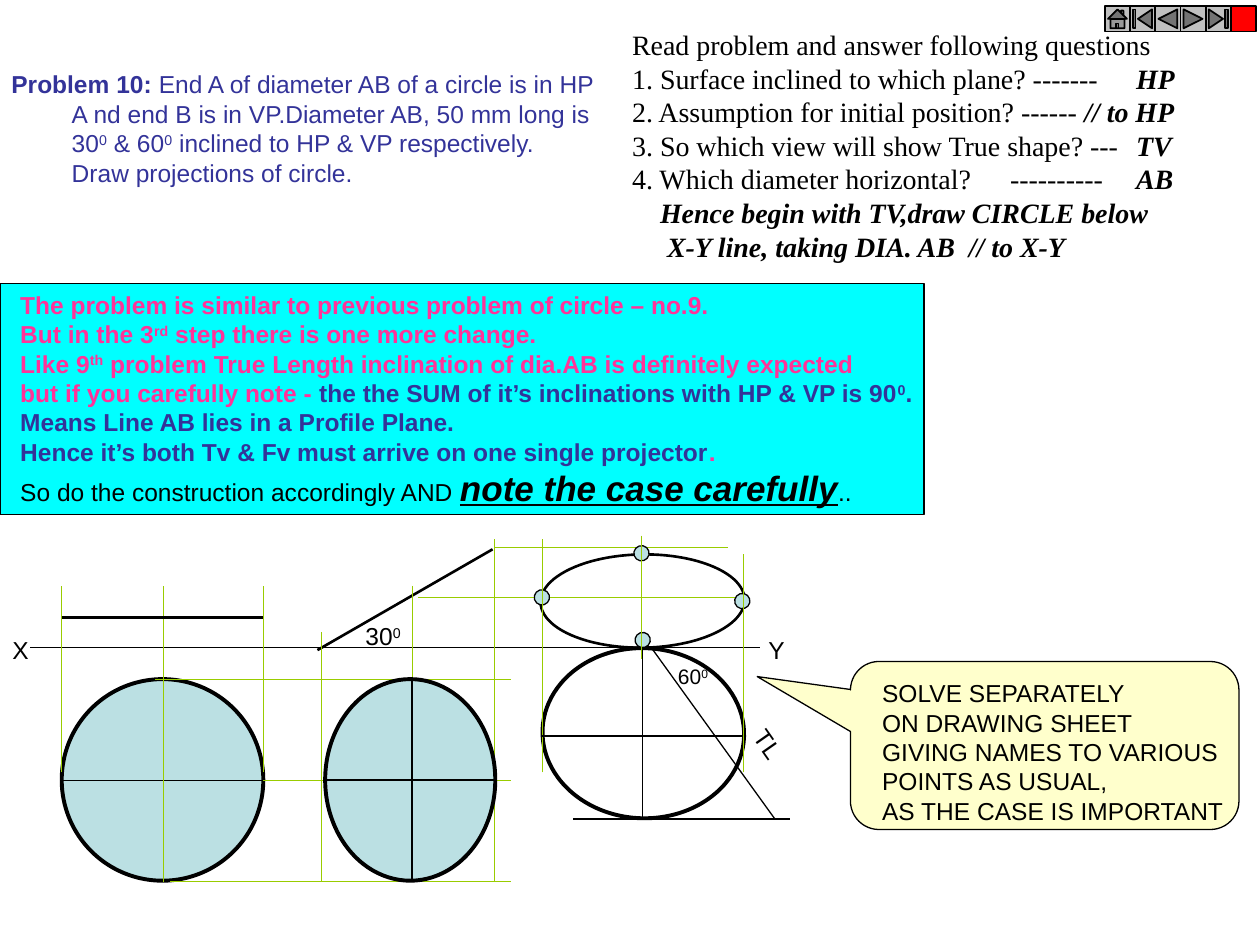
from pptx import Presentation
from pptx.dml.color import RGBColor
from pptx.enum.shapes import MSO_CONNECTOR, MSO_SHAPE
from pptx.enum.text import MSO_ANCHOR, MSO_AUTO_SIZE, PP_ALIGN
from pptx.oxml.ns import qn
from pptx.util import Pt
from lxml.etree import SubElement

HUES = {
    "ink": "000000", "navy": "333399", "pink": "FF3399", "cyan": "00FFFF",
    "cream": "FFFFCC", "disk": "BBE0E3", "green": "99CC00",
    "white": "FFFFFF", "gray": "C0C0C0", "red": "FF0000",
}
UP = {"up": True}
BOLD = {"bold": True}
KEY = {"bold": True, "italic": True}
NAVY = {"hue": "navy"}


def tint(name):
    return RGBColor.from_string(HUES[name])


def style(run, size=14, hue="ink", face="Arial", bold=False, italic=False,
          under=False, up=False):
    font = run.font
    font.size, font.name = Pt(size), face
    font.bold, font.italic, font.underline = bold, italic, under
    font.color.rgb = tint(hue)
    if up:
        run._r.get_or_add_rPr().set("baseline", "30000")


def write(frame, rows, wrap=False, align=PP_ALIGN.LEFT, dents=None,
          stops=None, **form):
    frame.word_wrap = wrap
    frame.auto_size = MSO_AUTO_SIZE.NONE
    frame.vertical_anchor = MSO_ANCHOR.TOP
    for i, row in enumerate(rows):
        para = frame.paragraphs[0] if i == 0 else frame.add_paragraph()
        para.alignment = align
        para.space_before = Pt(0)
        props = para._p.get_or_add_pPr()
        props.set("marL", str(Pt((dents or {}).get(i, 0))))
        props.set("indent", "0")
        SubElement(props, qn("a:buNone"))
        if stops and i in stops:
            tabs = SubElement(props, qn("a:tabLst"))
            for stop in stops[i]:
                SubElement(tabs, qn("a:tab"), pos=str(Pt(stop)), algn="l")
        for part in [row] if isinstance(row, str) else row:
            words, extra = (part, {}) if isinstance(part, str) else part
            run = para.add_run()
            run.text = words
            style(run, **{**form, **extra})


def place(item, x, y, w, h):
    item.left, item.top, item.width, item.height = Pt(x), Pt(y), Pt(w), Pt(h)


def label(pen, x, y, w, h, rows, turn=0, **form):
    item = pen.add_textbox(Pt(x), Pt(y), Pt(w), Pt(h))
    item.rotation = turn
    write(item.text_frame, rows, **form)


def shape(pen, kind, x, y, w, h, fill, line=0.75, turn=0):
    item = pen.add_shape(kind, Pt(x), Pt(y), Pt(w), Pt(h))
    item.shadow.inherit = False
    item.fill.solid()
    item.fill.fore_color.rgb = tint(fill)
    item.line.color.rgb = tint("ink")
    item.line.width = Pt(line)
    item.rotation = turn
    return item


def lines(pen, x, y, hue, width, ends):
    for x1, y1, x2, y2 in ends:
        item = pen.add_connector(MSO_CONNECTOR.STRAIGHT, Pt(x + x1),
                                 Pt(y + y1), Pt(x + x2), Pt(y + y2))
        item.line.color.rgb = tint(hue)
        item.line.width = Pt(width)
        SubElement(item._element.spPr, qn("a:effectLst"))


def problem(item, x, y, w, h):
    place(item, x, y, w, h)
    write(item.text_frame, [
        [("Problem 10: ", BOLD), "End A of diameter AB of a circle is in HP"],
        "A nd end B is in VP.Diameter AB, 50 mm long is",
        ["30", ("0", UP), " & 60", ("0", UP),
         " inclined to HP & VP respectively."],
        "Draw projections of circle.",
    ], dents={1: 34.5, 2: 34.5, 3: 34.5}, hue="navy")


def quiz(item, x, y, w, h):
    place(item, x, y, w, h)
    write(item.text_frame, [
        "Read problem and answer following questions",
        ["1. Surface inclined to which plane? -------\t", ("HP", KEY)],
        ["2. Assumption for initial position? ------ ", ("// to HP", KEY)],
        ["3. So which view will show True shape? ---\t", ("TV", KEY)],
        ["4. Which diameter horizontal?\t----------\t", ("AB", KEY)],
        [("Hence begin with TV,draw CIRCLE below", KEY)],
        [("X-Y line, taking DIA. AB  // to X-Y", KEY)],
    ], wrap=True, dents={5: 16, 6: 20},
        stops={1: [290], 3: [290], 4: [206, 287]},
        size=16, face="Times New Roman")


def note(pen, x, y, w, h):
    shape(pen, MSO_SHAPE.RECTANGLE, x, y, w, h, "cyan")
    last = {"hue": "ink", "bold": False}
    label(pen, x + 4.5, y, w + 1, h, [
        "The problem is similar to previous problem of circle – no.9.",
        ["But in the 3", ("rd", UP), " step there is one more change."],
        ["Like 9", ("th", UP),
         " problem True Length inclination of dia.AB is definitely expected"],
        ["but if you carefully note - ",
         ("the the SUM of it’s inclinations with HP & VP is 90", NAVY),
         ("0", {**NAVY, **UP}), (".", NAVY)],
        [("Means Line AB lies in a Profile Plane.", NAVY)],
        [("Hence it’s both Tv & Fv must arrive on one single projector",
          NAVY), "."],
        [("So do the construction accordingly AND ", last),
         ("note the case carefully",
          {"hue": "ink", "size": 20, "italic": True, "under": True}),
         ("..", last)],
    ], hue="pink", bold=True)


def callout(pen, x, y, w, h):
    item = shape(pen, MSO_SHAPE.ROUNDED_RECTANGULAR_CALLOUT,
                 x, y, w, h, "cream")
    for i, value in enumerate((-0.74, -0.41, 0.17)):
        item.adjustments[i] = value
    label(pen, x + 11, y + 6, w - 7, h - 5, [
        "SOLVE SEPARATELY", "ON DRAWING SHEET", "GIVING NAMES TO VARIOUS",
        "POINTS AS USUAL,", "AS THE CASE IS IMPORTANT"])


def figure(pen, x, y):
    oval = MSO_SHAPE.OVAL
    size, wide = 115.2, 97.2
    axis, top, base = 64.1, 82.1, 162
    mid, low = top + size / 2, top + size
    left, heart, right = 35.3, 93.6, 150.5
    lean, core, edge = 185.8, 235.4, 282.2
    west, east, hub = 309.6, 424.8, 367.2

    shape(pen, oval, x + 308.9, y + 10.8, 116.6, 53.3, "white", 1.5, 359.2)
    shape(pen, oval, x + left, y + top, size, size, "disk", 2.25)
    lines(pen, x, y, "ink", 0.5, [(left, mid, right, mid)])
    lines(pen, x, y, "ink", 0.75, [(17.3, axis, 434.2, axis)])
    lines(pen, x, y, "green", 0.5, [
        (heart, top, heart, low + 0.7), (left, 135.4, left, 28.8),
        (right, 135.4, right, 28.8), (heart, top, heart, 28.8)])
    lines(pen, x, y, "ink", 1.5, [
        (left, 46.8, right, 46.8), (181.4, 65.5, 281.5, 7.9)])
    lines(pen, x, y, "green", 0.25, [
        (edge, 2.2, edge, low), (core, 28.8, core, low),
        (183.6, 55.4, 183.6, low), (88.6, top, 292.3, top),
        (right, mid, 292.3, mid), (97.2, low, 292.3, low)])

    shape(pen, oval, x + lean, y + top, wide, size, "disk", 2.25)
    lines(pen, x, y, "ink", 0.75, [(core, top, core, low)])
    shape(pen, oval, x + 319, y + 55.4, wide, size, "white", 2.25, 272.1)
    lines(pen, x, y, "green", 0.25, [
        (283, 6.5, 416.2, 6.5), (239, 35.3, east, 35.3)])
    for across, down in ((305.3, 31), (362.9, 55.4), (419.8, 33.1),
                         (362.2, 5.8)):
        shape(pen, oval, x + across, y + down, 8.7, 8.7, "disk", turn=12.2)
    lines(pen, x, y, "green", 0.25, [
        (west, 135.4, west, 2.2), (east, 135.4, east, 10.8)])
    lines(pen, x, y, "ink", 0.75, [
        (lean, mid, lean + wide, mid), (west, 114.5, east, 114.5),
        (hub, axis, hub, base), (372.2, axis, 442.8, base),
        (451.4, base, 327.6, base)])
    lines(pen, x, y, "green", 0.75, [(366.5, 0, 366.5, 70.6)])

    label(pen, x + 423.4, y + 107.3, 31, 24.5, ["TL"], turn=55)
    label(pen, x, y + 53.3, 23.8, 24.5, ["X"])
    label(pen, x + 432, y + 53.3, 23.8, 24.5, ["Y"])
    label(pen, x + 201.6, y + 45.4, 34.6, 24.5, [["30", ("0", UP)]],
          align=PP_ALIGN.CENTER)
    label(pen, x + 380.2, y + 69.8, 31.7, 21.6, [["60", ("0", UP)]],
          align=PP_ALIGN.CENTER, size=12)


def controls(pen, x, y, side):
    kinds = (MSO_SHAPE.ACTION_BUTTON_HOME, MSO_SHAPE.ACTION_BUTTON_BEGINNING,
             MSO_SHAPE.ACTION_BUTTON_BACK_OR_PREVIOUS,
             MSO_SHAPE.ACTION_BUTTON_FORWARD_OR_NEXT,
             MSO_SHAPE.ACTION_BUTTON_END, MSO_SHAPE.ACTION_BUTTON_CUSTOM)
    for i, kind in enumerate(kinds):
        fill = "red" if kind == MSO_SHAPE.ACTION_BUTTON_CUSTOM else "gray"
        shape(pen, kind, x + i * side, y, side, side, fill, 1)


def main():
    deck = Presentation()
    deck.slide_width, deck.slide_height = Pt(720), Pt(540)
    slide = deck.slides.add_slide(deck.slide_layouts[1])
    pen = slide.shapes
    problem(pen.title, -0.7, 36, 352.8, 75)
    quiz(slide.placeholders[1], 354, 12.2, 342, 142)
    note(pen.add_group_shape().shapes, 0, 162, 528, 132)
    callout(pen.add_group_shape().shapes, 486, 378, 222, 96)
    figure(pen, 0, 306)
    controls(pen.add_group_shape().shapes, 631.4, 3.6, 14.4)
    deck.save("out.pptx")


if __name__ == "__main__":
    main()
